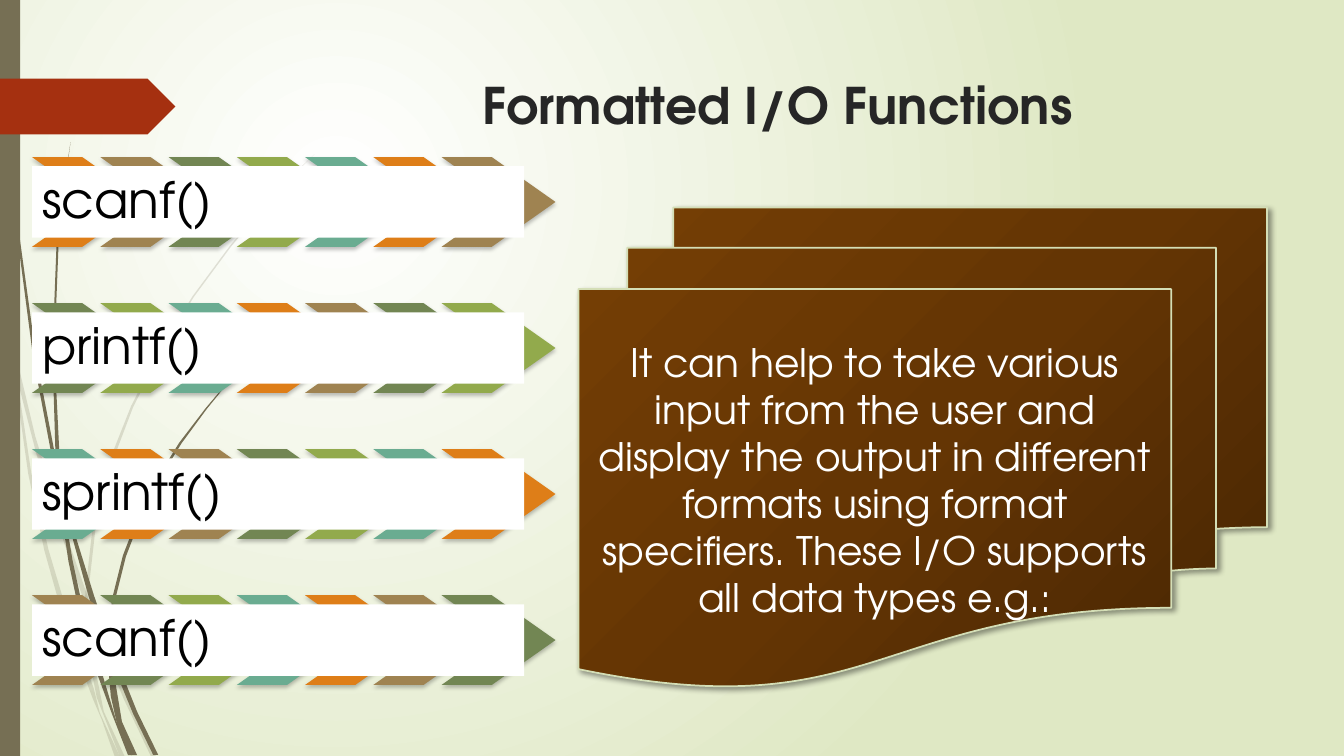
from copy import deepcopy

from lxml.etree import SubElement
from pptx import Presentation
from pptx.dml.color import RGBColor
from pptx.enum.shapes import MSO_SHAPE as SHAPE
from pptx.enum.text import MSO_ANCHOR as ANCHOR, MSO_AUTO_SIZE as AUTOSIZE, PP_ALIGN as ALIGN
from pptx.oxml.ns import qn
from pptx.util import Cm, Pt

FONT = "TeX Gyre Adventor"
OLIVE = "766F54"
ACCENTS = ["DE7E18", "9F8351", "728653", "92AA4C", "6AAC91"]


def paint(obj, *colors, alpha=None, shadow=None):
    fill = obj.fill
    if len(colors) == 1:
        fill.solid()
        fill.fore_color.rgb = RGBColor.from_string(colors[0])
    else:
        fill.gradient()
        stops = obj._element.find(".//" + qn("a:gsLst"))
        for _ in colors[2:]:
            stops.insert(1, deepcopy(stops[0]))
        for i, (stop, color) in enumerate(zip(fill.gradient_stops, colors)):
            stop.color.rgb = RGBColor.from_string(color)
            stop.position = i / (len(colors) - 1)
    if alpha:
        clr = obj._element.spPr.find(qn("a:solidFill"))[0]
        SubElement(clr, qn("a:alpha"), val=str(alpha * 1000))
    if shadow:
        opacity, blur, dist, angle = shadow
        obj.shadow.inherit = False
        effects = obj._element.spPr.find(qn("a:effectLst"))
        outer = SubElement(effects, qn("a:outerShdw"), blurRad=str(Pt(blur)),
                           dist=str(Pt(dist)), dir=str(angle * 60000),
                           algn="tl", rotWithShape="0")
        clr = SubElement(outer, qn("a:srgbClr"), val="000000")
        SubElement(clr, qn("a:alpha"), val=str(opacity * 1000))


def write(tf, text, size, color, bold=False, align=ALIGN.LEFT,
          anchor=ANCHOR.MIDDLE, spacing=None):
    tf.word_wrap = True
    tf.auto_size = AUTOSIZE.NONE
    tf.vertical_anchor = anchor
    p = tf.paragraphs[0]
    p.alignment = align
    p.line_spacing = spacing
    r = p.add_run()
    r.text = text
    r.font.name = FONT
    r.font.size = Pt(size)
    r.font.bold = bold
    r.font.color.rgb = RGBColor.from_string(color)


prs = Presentation()
prs.slide_width, prs.slide_height = Cm(33.87), Cm(19.05)
s = prs.slides.add_slide(prs.slide_layouts[5])

paint(s.background, "FFFFFF", "DFE8C4")
grad = s.background._element.find(".//" + qn("a:gradFill"))
grad.remove(grad.find(qn("a:lin")))
glow = SubElement(grad, qn("a:path"), {"path": "circle"})
SubElement(glow, qn("a:fillToRect"), l="50000", t="50000", r="100000", b="100000")

pale_stems = [
    [(0, 282), (9, 322), (11, 350), (17, 376), (31, 469), (48, 545), (70, 619),
     (93, 683), (99, 707), (119, 751), (114, 751), (101, 714), (92, 693),
     (65, 621), (44, 546), (28, 470), (11, 350), (0, 299)],
    [(14, 345), (35, 433), (62, 520), (85, 586), (92, 607), (127, 692), (155, 751),
     (150, 751), (123, 694), (88, 610), (58, 522), (36, 450), (17, 376)],
    [(312, 153), (290, 175), (268, 198), (229, 245), (192, 295), (160, 349),
     (132, 404), (110, 462), (95, 522), (88, 584), (88, 610), (91, 646),
     (103, 706), (124, 751), (119, 751), (96, 692), (87, 646), (84, 599),
     (85, 584), (92, 522), (107, 461), (130, 403), (158, 348), (191, 294),
     (228, 244), (268, 197), (289, 175)],
]
dark_stems = [
    [(3, 0), (4, 48), (7, 110), (17, 233), (33, 355), (56, 477), (68, 557),
     (79, 609), (93, 659), (111, 708), (127, 749), (131, 749), (116, 717),
     (98, 657), (83, 607), (72, 556), (55, 453), (36, 355), (19, 232), (8, 109),
     (5, 48), (4, 0)],
    [(70, 141), (62, 193), (56, 245), (52, 349), (55, 449), (64, 505), (88, 592),
     (106, 645), (132, 708), (152, 749), (157, 749), (136, 706), (110, 641),
     (93, 590), (75, 532), (60, 472), (54, 349), (58, 245), (63, 193)],
    [(261, 344), (245, 359), (231, 374), (205, 406), (180, 440), (158, 476),
     (140, 513), (125, 552), (115, 592), (111, 633), (111, 656), (121, 716),
     (136, 749), (130, 749), (117, 722), (110, 691), (106, 645), (106, 631),
     (112, 591), (122, 551), (137, 512), (156, 474), (178, 439), (204, 405),
     (231, 373), (245, 358)],
]
for stems, alpha in ((pale_stems, 20), (dark_stems, None)):
    for start, *points in stems:
        fb = s.shapes.build_freeform(*start, scale=Cm(0.0254))
        fb.add_line_segments(points)
        sp = fb.convert_to_shape()
        sp.shadow.inherit = False
        sp.line.fill.background()
        paint(sp, OLIVE, alpha=alpha)

for kind, top, width, height, color in (
    (SHAPE.RECTANGLE, 0, 0.51, 19.05, OLIVE),
    (SHAPE.PENTAGON, 1.98, 4.42, 1.41, "A53010"),
):
    sp = s.shapes.add_shape(kind, 0, Cm(top), Cm(width), Cm(height))
    sp.shadow.inherit = False
    sp.line.fill.background()
    paint(sp, color)

title = s.shapes.title
title.left, title.top, title.width, title.height = Cm(7.21), Cm(1.73), Cm(24.77), Cm(3.56)
write(title.text_frame, "Formatted I/O Functions", 36, "262626", bold=True,
      align=ALIGN.CENTER, anchor=ANCHOR.TOP)

doc = s.shapes.add_shape(SHAPE.FLOWCHART_MULTIDOCUMENT, Cm(14.58), Cm(5.23), Cm(17.35), Cm(12.09))
doc.line.color.rgb = RGBColor.from_string("D4DEB6")
doc.line.width = Pt(1.25)
paint(doc, "462503", "643504", "763F05", shadow=(40, 4, 3, 45))
doc.fill.gradient_angle = 135
write(doc.text_frame, "It can help to take various input from the user and display the output "
      "in different formats using format specifiers. These I/O supports all data types e.g.:",
      28, "FFFFFF", align=ALIGN.CENTER)

COLS = 7
for row, name in enumerate(["scanf()", "printf()", "sprintf()", "scanf()"]):
    top = 3.96 + 3.68 * row
    for col in range(COLS):
        sp = s.shapes.add_shape(SHAPE.CHEVRON, Cm(0.81 + 1.72 * col), Cm(top), Cm(2.87), Cm(2.26))
        sp.adjustments[0] = 0.71
        sp.line.fill.background()
        paint(sp, ACCENTS[(row * COLS + col) % len(ACCENTS)], shadow=(25, 3, 2, 90))
    label = s.shapes.add_shape(SHAPE.RECTANGLE, Cm(0.81), Cm(top + 0.23), Cm(12.4), Cm(1.8))
    label.shadow.inherit = False
    label.line.fill.background()
    paint(label, "FFFFFF")
    tf = label.text_frame
    tf.margin_left = tf.margin_right = tf.margin_top = tf.margin_bottom = Cm(0.25)
    write(tf, name, 36, "000000", spacing=0.9)

prs.save("out.pptx")
